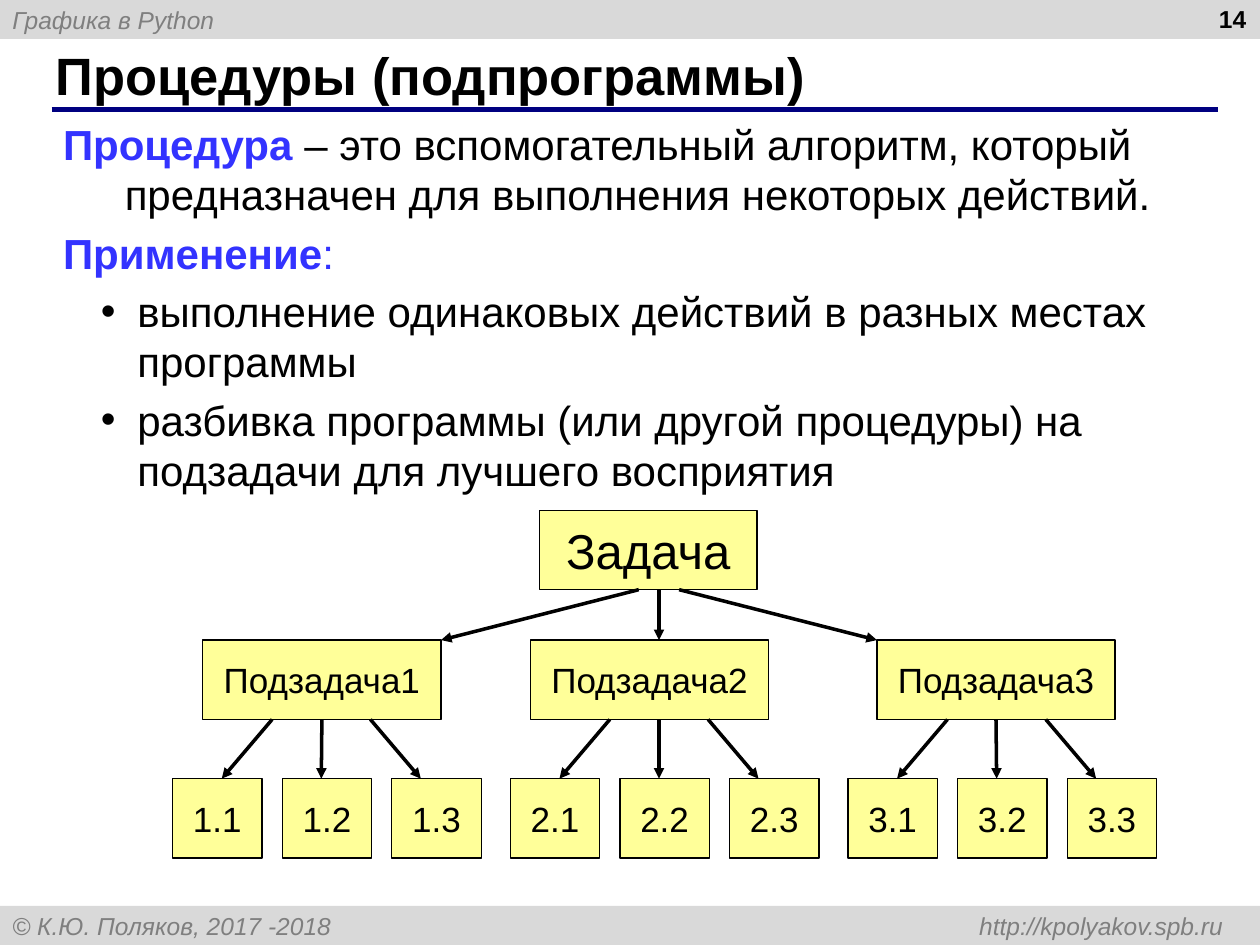
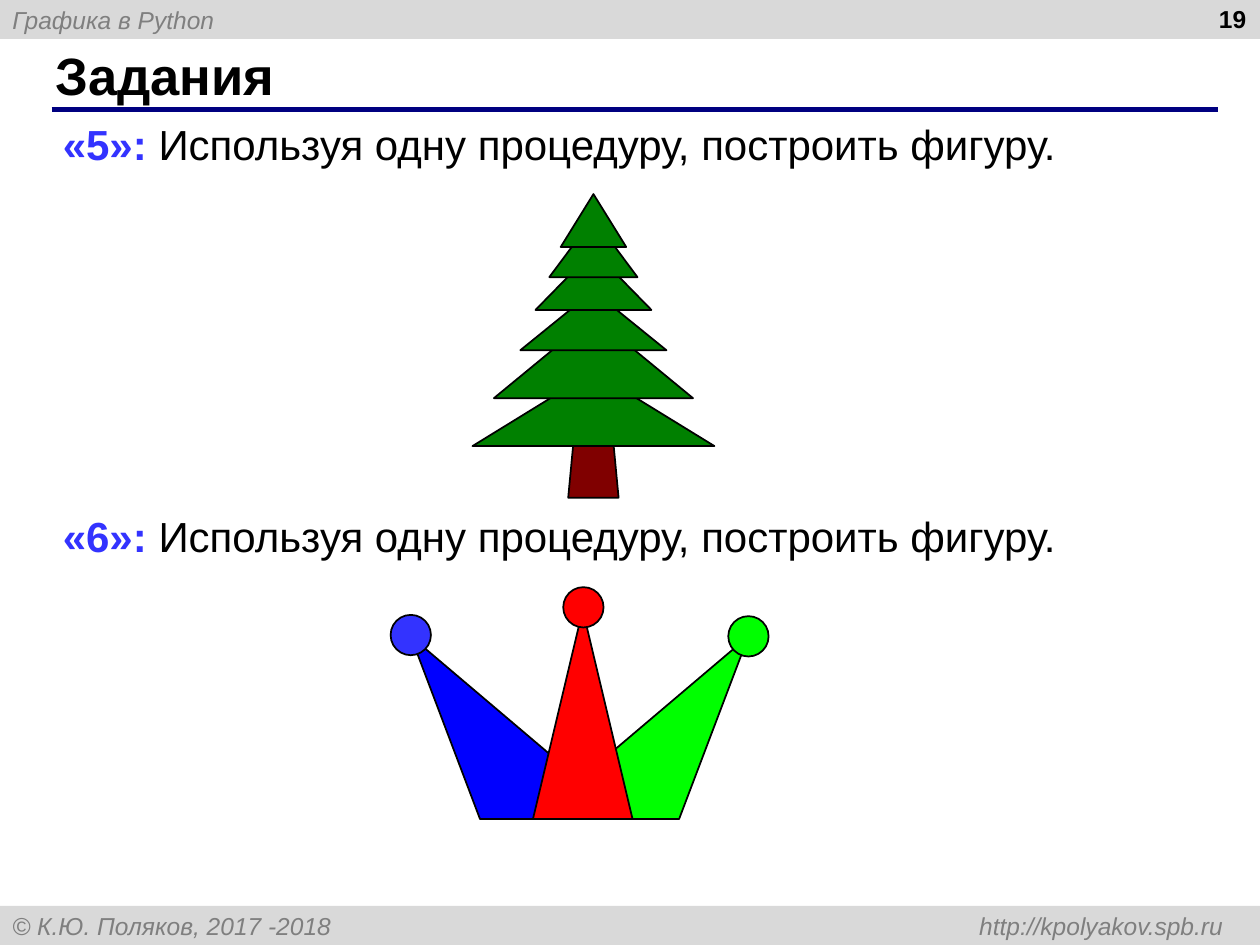
from lxml import etree
from pptx import Presentation
from pptx import util as u
from pptx.dml.color import RGBColor
from pptx.enum import shapes, text
from pptx.oxml.ns import qn

FONT = "Arial"
BLACK, GREY, BAND, NAVY = "000000", "7F7F7F", "D9D9D9", "000080"
BLUE, YELLOW, GREEN, BROWN = "3333FF", "FFFF99", "008000", "800000"
RECT = shapes.MSO_SHAPE.RECTANGLE
TRIANGLE = shapes.MSO_SHAPE.ISOSCELES_TRIANGLE
OVAL = shapes.MSO_SHAPE.OVAL

COURSE = "Графика в Python"
FOOTER = "© К.Ю. Поляков, 2017 -2018\thttp://kpolyakov.spb.ru"

# Paragraphs: (is bullet, [(text, colour, bold)])
PROCEDURES = [
    (False, [("Процедура ", BLUE, True),
             ("– это вспомогательный алгоритм, который предназначен для "
              "выполнения некоторых действий.", BLACK, False)]),
    (False, [("Применение", BLUE, True), (":", BLUE, False)]),
    (True, [("выполнение одинаковых действий в разных местах программы", BLACK, False)]),
    (True, [("разбивка программы (или другой процедуры) на подзадачи для "
             "лучшего восприятия", BLACK, False)]),
]

TASK = "Задача"
SUBTASKS = [("Подзадача1", 1.61), ("Подзадача2", 4.21), ("Подзадача3", 6.96)]
TASK_TOP, SUBTASK_TOP, LEAF_TOP, NODE_H = 4.05, 5.08, 6.18, 0.63
TASK_X, TASK_W, SUBTASK_W, LEAF_W = 4.28, 1.73, 1.89, 0.71
FIRST_LEAF_X, LEAF_STEP, BRANCH_STEP = 1.37, 0.87, 2.68

EXERCISE = "Используя одну процедуру, построить фигуру."
EXERCISES = [("«5»: ", 0.94), ("«6»: ", 4.05)]
TREE_AXIS = 4.71
TRUNK = (1.84, 0.4, 2.11)  # top, width, height
TIERS = [(2.95, 1.92, 0.59), (2.51, 1.58, 0.65), (2.31, 1.16, 0.47),
         (1.99, 0.92, 0.47), (1.73, 0.7, 0.47), (1.54, 0.52, 0.42)]
SIDE_TEETH = [("00FF00", [(4.23, 6.5), (5.94, 5.05), (5.39, 6.5)]),
              ("0000FF", [(4.97, 6.5), (3.26, 5.05), (3.81, 6.5)])]
SIDE_BALLS = [("00FF00", 5.78, 4.89), (BLUE, 3.1, 4.88)]
BALL = 0.32


def rgb(value):
    return RGBColor.from_string(value)


def box(at):
    return [u.Inches(v) for v in at]


def place(sp, at):
    sp.left, sp.top, sp.width, sp.height = box(at)


def style(font, size, color=BLACK, bold=False, italic=False):
    font.name, font.size = FONT, u.Pt(size)
    font.bold, font.italic = bold, italic
    font.color.rgb = rgb(color)


def paint(sp, fill, line_width):
    sp.shadow.inherit = False
    sp.fill.solid()
    sp.fill.fore_color.rgb = rgb(fill)
    if line_width:
        sp.line.color.rgb = rgb(BLACK)
        sp.line.width = u.Pt(line_width)
    else:
        sp.line.fill.background()


def add_shape(parent, kind, at, fill, line_width=1):
    sp = parent.add_shape(kind, *box(at))
    paint(sp, fill, line_width)
    return sp


def add_line(parent, start, end, color=BLACK, width=2):
    line = parent.add_connector(shapes.MSO_CONNECTOR.STRAIGHT, *box(start + end))
    line.line.color.rgb = rgb(color)
    line.line.width = u.Pt(width)
    etree.SubElement(line.element.spPr, qn("a:effectLst"))
    return line


def add_arrow(parent, start, end):
    arrow = add_line(parent, start, end)
    ln = arrow.element.spPr.find(qn("a:ln"))
    etree.SubElement(ln, qn("a:tailEnd"), type="triangle")
    return arrow


def add_runs(p, runs, size=24):
    for content, color, bold in runs:
        r = p.add_run()
        r.text = content
        style(r.font, size, color, bold)


def indent(p, left, hanging):
    pPr = p._p.get_or_add_pPr()
    pPr.set("marL", str(u.Inches(left)))
    pPr.set("indent", str(-u.Inches(hanging)))
    return pPr


def set_bullet(pPr, char):
    """Give the paragraph a black bullet, or none when char is empty."""
    if not char:
        etree.SubElement(pPr, qn("a:buNone"))
        return
    color = etree.SubElement(pPr, qn("a:buClr"))
    etree.SubElement(color, qn("a:srgbClr"), val=BLACK)
    etree.SubElement(pPr, qn("a:buFont"), typeface=FONT)
    etree.SubElement(pPr, qn("a:buChar"), char=char)


def add_band(s, top, content, right_tab=None):
    sp = add_shape(s.shapes, RECT, (0, top, 10, 0.31), BAND, 0)
    tf = sp.text_frame
    tf.vertical_anchor = text.MSO_ANCHOR.MIDDLE
    p = tf.paragraphs[0]
    p.text = content
    p.alignment = text.PP_ALIGN.LEFT
    if right_tab:
        tabs = etree.SubElement(p._p.get_or_add_pPr(), qn("a:tabLst"))
        etree.SubElement(tabs, qn("a:tab"), pos=str(u.Inches(right_tab)), algn="r")
    style(p.runs[0].font, 14, GREY, italic=True)


def add_slide(prs, layout, title, number):
    s = prs.slides.add_slide(prs.slide_layouts[layout])
    add_band(s, 0, COURSE)
    add_band(s, 7.19, FOOTER, 9.61)
    add_line(s.shapes, (0.41, 0.87), (9.67, 0.87), NAVY, 3)

    place(s.shapes.title, (0.34, 0.33, 9.16, 0.52))
    tf = s.shapes.title.text_frame
    tf.text = title
    tf.auto_size = text.MSO_AUTO_SIZE.NONE
    tf.vertical_anchor = text.MSO_ANCHOR.MIDDLE
    tf.paragraphs[0].alignment = text.PP_ALIGN.LEFT
    style(tf.paragraphs[0].runs[0].font, 30, bold=True)

    tf = s.shapes.add_textbox(*box((7.66, -0.02, 2.33, 0.52))).text_frame
    tf.word_wrap = True
    tf.text = number
    tf.paragraphs[0].alignment = text.PP_ALIGN.RIGHT
    style(tf.paragraphs[0].runs[0].font, 14, bold=True)
    return s


def add_body(s):
    body = s.placeholders[1]
    place(body, (0.4, 0.89, 9.21, 3.09))
    tf = body.text_frame
    tf.auto_size = text.MSO_AUTO_SIZE.NONE
    tf.vertical_anchor = text.MSO_ANCHOR.TOP
    for i, (bulleted, runs) in enumerate(PROCEDURES):
        p = tf.add_paragraph() if i else tf.paragraphs[0]
        p.level = int(bulleted)
        p.space_before = u.Pt(4.5 if i else 0)
        pPr = indent(p, 0.59, 0.29) if bulleted else indent(p, 0.49, 0.49)
        set_bullet(pPr, "•" if bulleted else "")
        add_runs(p, runs)


def add_node(parent, label, x, y, width, size=20):
    sp = add_shape(parent, RECT, (x, y, width, NODE_H), YELLOW, 0.75)
    tf = sp.text_frame
    tf.word_wrap = False
    tf.vertical_anchor = text.MSO_ANCHOR.MIDDLE
    tf.text = label
    tf.paragraphs[0].alignment = text.PP_ALIGN.CENTER
    style(tf.paragraphs[0].runs[0].font, size)
    return sp


def add_task_tree(s):
    parent = s.shapes.add_group_shape().shapes
    add_node(parent, TASK, TASK_X, TASK_TOP, TASK_W, 28)
    task_bottom, subtask_bottom = TASK_TOP + NODE_H, SUBTASK_TOP + NODE_H
    axis = 5.23
    arrow_ends = [SUBTASKS[0][1] + SUBTASK_W, axis, SUBTASKS[2][1]]
    for i, (label, x) in enumerate(SUBTASKS):
        subtask = add_node(parent, label, x, SUBTASK_TOP, SUBTASK_W)
        add_arrow(parent, (axis + (i - 1) * 0.16, task_bottom),
                  (arrow_ends[i], SUBTASK_TOP))
        center = axis + (i - 1) * BRANCH_STEP
        for j in range(3):
            leaf_x = FIRST_LEAF_X + i * BRANCH_STEP + j * LEAF_STEP
            add_node(parent, f"{i + 1}.{j + 1}", leaf_x, LEAF_TOP, LEAF_W)
            arrow = add_arrow(parent, (center + (j - 1) * 0.39, subtask_bottom),
                              (center + (j - 1) * 0.79, LEAF_TOP))
            if j == 1 and abs(center - x - SUBTASK_W / 2) < 0.02:
                arrow.begin_connect(subtask, 2)


def add_exercise(s, mark, top):
    tf = s.shapes.add_textbox(*box((0.4, top, 9.21, 0.46))).text_frame
    tf.word_wrap = True
    p = tf.paragraphs[0]
    indent(p, 0.59, 0.59)
    p.line_spacing = 0.9
    add_runs(p, [(mark, BLUE, True), (EXERCISE, BLACK, False)])


def add_fir(s):
    parent = s.shapes.add_group_shape().shapes
    colors = [BROWN] + [GREEN] * len(TIERS)
    for color, (top, width, height) in zip(colors, [TRUNK] + TIERS):
        add_shape(parent, TRIANGLE, (TREE_AXIS - width / 2, top, width, height), color)


def add_crown(s):
    parent = s.shapes.add_group_shape().shapes
    for color, points in SIDE_TEETH:
        corners = [box(point) for point in points]
        builder = parent.build_freeform(*corners[0])
        builder.add_line_segments(corners[1:], close=True)
        paint(builder.convert_to_shape(), color, 1)
    for color, x, y in SIDE_BALLS:
        add_shape(parent, OVAL, (x, y, BALL, BALL), color)
    add_shape(parent, TRIANGLE, (4.23, 4.84, 0.79, 1.66), "FF0000")
    add_shape(parent, OVAL, (4.47, 4.66, BALL, BALL), "FF0000")


def main():
    prs = Presentation()
    prs.slide_width, prs.slide_height = u.Inches(10), u.Inches(7.5)

    s = add_slide(prs, 1, "Процедуры (подпрограммы)", "14")
    add_body(s)
    add_task_tree(s)

    s = add_slide(prs, 5, "Задания", "19")
    for mark, top in EXERCISES:
        add_exercise(s, mark, top)
    add_fir(s)
    add_crown(s)

    prs.save("out.pptx")


if __name__ == "__main__":
    main()
